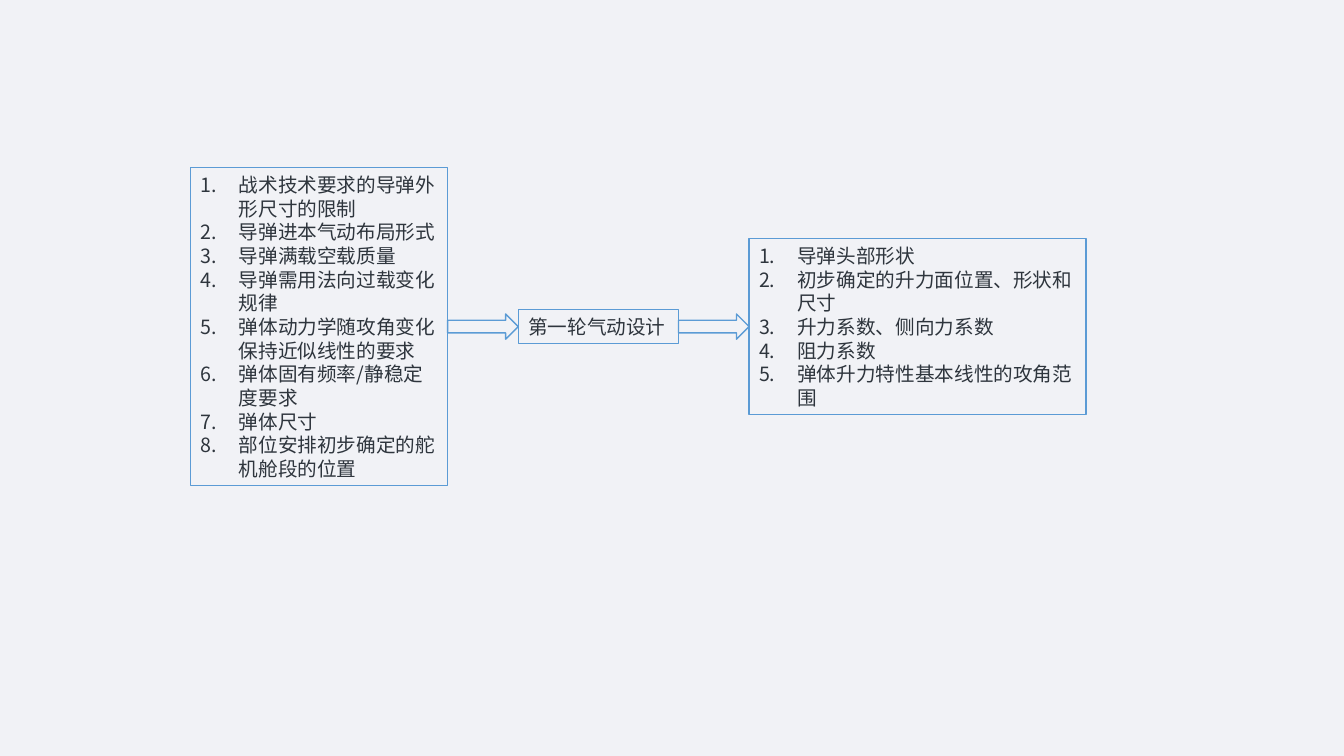
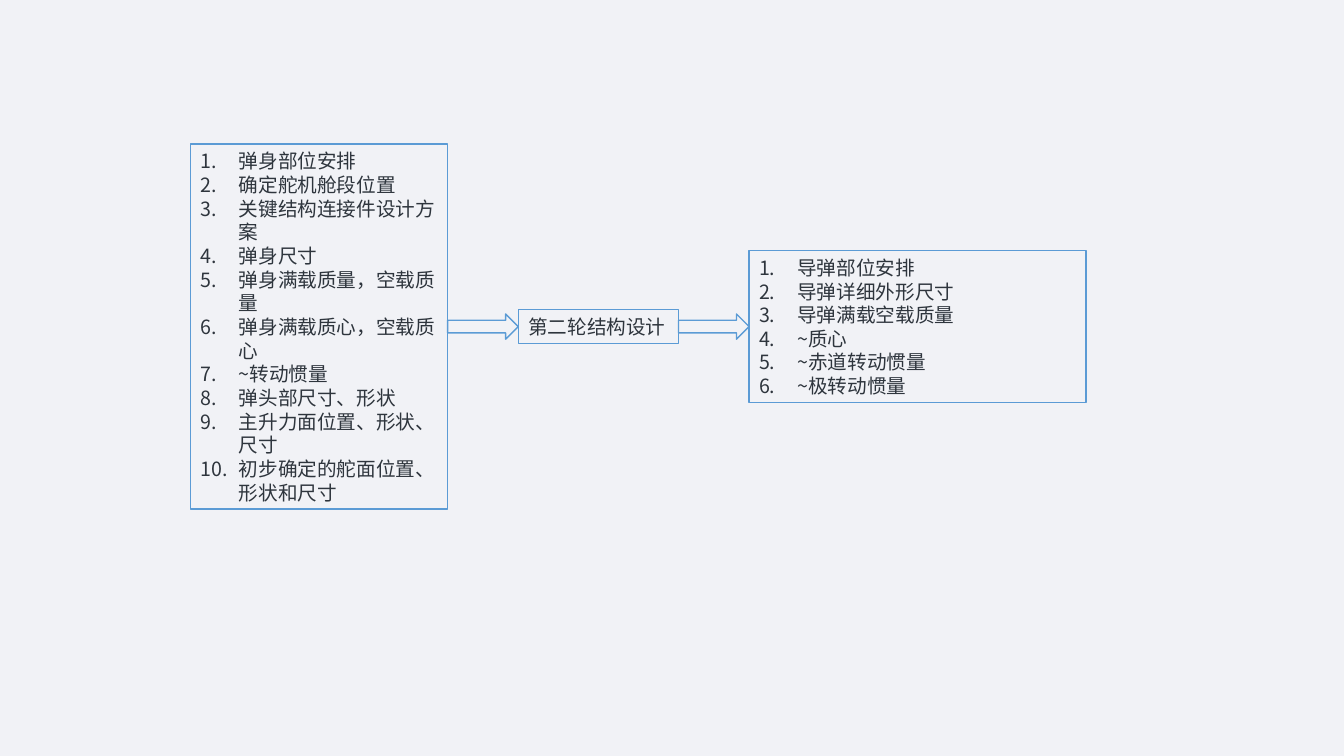
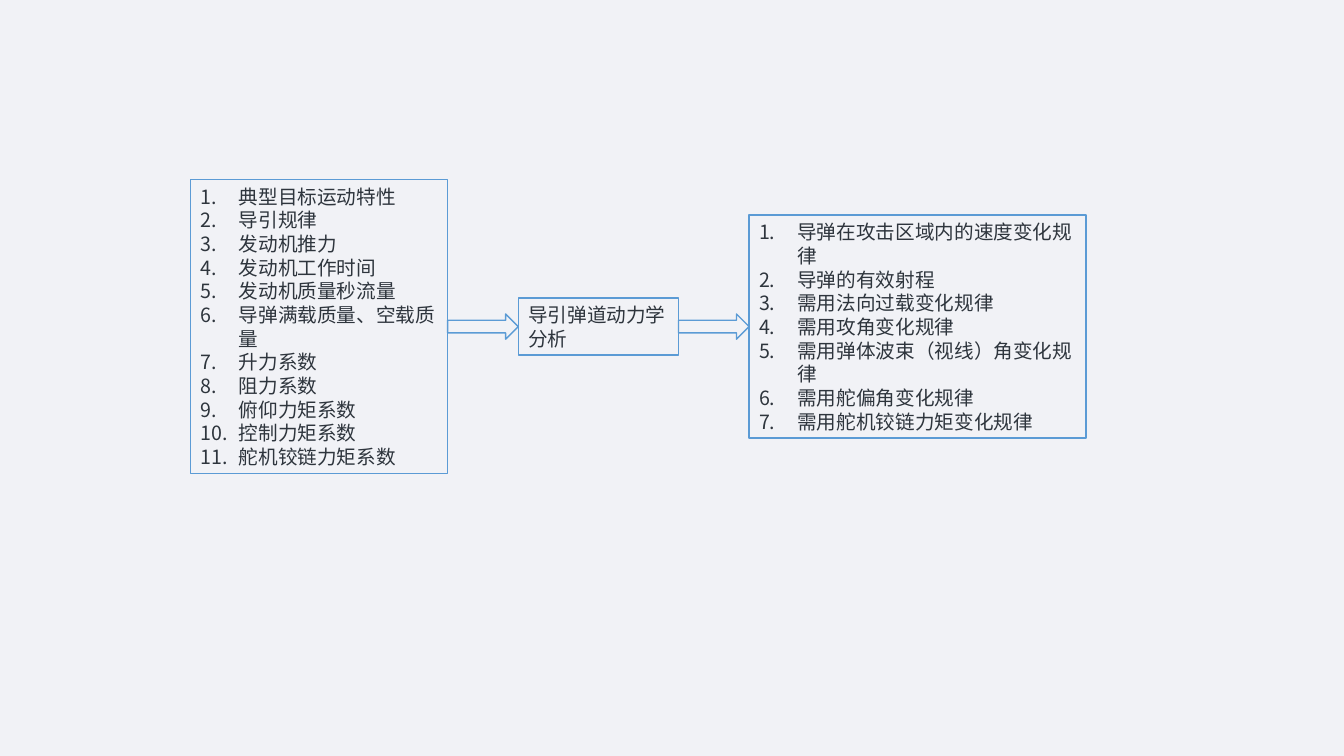
from lxml.etree import SubElement
from pptx import Presentation
from pptx.dml.color import RGBColor
from pptx.enum.shapes import MSO_SHAPE as Shape
from pptx.enum.text import MSO_ANCHOR as Anchor, PP_ALIGN as Align
from pptx.oxml.ns import qn
from pptx.util import Inches, Pt

FONT = "Noto Sans CJK SC"
PAPER, OUTLINE, INK = "F1F2F6", "5B9BD5", "2E353D"
LINE_POINTS = 16.9
INDENT = Inches(0.38)

# Every row of boxes is centred on one axis; arrows fill the gaps between columns.
AXIS = 3.24
LEFT_MARGIN, ARROW_WIDTH, ARROW_HEIGHT = 1.89, 0.7, 0.25
COLUMN_WIDTHS = (2.55, 1.59, 3.34)

# Each box: (number of text lines after wrapping, paragraphs)
STAGES = [
    (
        (13, ["战术技术要求的导弹外形尺寸的限制", "导弹进本气动布局形式",
              "导弹满载空载质量", "导弹需用法向过载变化规律",
              "弹体动力学随攻角变化保持近似线性的要求",
              "弹体固有频率/静稳定度要求", "弹体尺寸",
              "部位安排初步确定的舵机舱段的位置"]),
        (1, ["第一轮气动设计"]),
        (7, ["导弹头部形状", "初步确定的升力面位置、形状和尺寸",
             "升力系数、侧向力系数", "阻力系数",
             "弹体升力特性基本线性的攻角范围"]),
    ),
    (
        (15, ["弹身部位安排", "确定舵机舱段位置", "关键结构连接件设计方案",
              "弹身尺寸", "弹身满载质量，空载质量", "弹身满载质心，空载质心",
              "~转动惯量", "弹头部尺寸、形状", "主升力面位置、形状、尺寸",
              "初步确定的舵面位置、形状和尺寸"]),
        (1, ["第二轮结构设计"]),
        (6, ["导弹部位安排", "导弹详细外形尺寸", "导弹满载空载质量",
             "~质心", "~赤道转动惯量", "~极转动惯量"]),
    ),
    (
        (12, ["典型目标运动特性", "导引规律", "发动机推力", "发动机工作时间",
              "发动机质量秒流量", "导弹满载质量、空载质量", "升力系数",
              "阻力系数", "俯仰力矩系数", "控制力矩系数", "舵机铰链力矩系数"]),
        (2, ["导引弹道动力学分析"]),
        (9, ["导弹在攻击区域内的速度变化规律", "导弹的有效射程",
             "需用法向过载变化规律", "需用攻角变化规律",
             "需用弹体波束（视线）角变化规律", "需用舵偏角变化规律",
             "需用舵机铰链力矩变化规律"]),
    ),
]


def color(value):
    """Turn a hex string into a colour."""
    return RGBColor.from_string(value)


def add_outlined(slide, kind, left, width, height):
    """Add an outlined shape centred on the axis."""
    shape = slide.shapes.add_shape(kind, Inches(left), Inches(AXIS - height / 2),
                                   Inches(width), Inches(height))
    shape.shadow.inherit = False
    shape.fill.solid()
    shape.fill.fore_color.rgb = color(PAPER)
    shape.line.color.rgb = color(OUTLINE)
    shape.line.width = Pt(1)
    return shape


presentation = Presentation()
presentation.slide_width = Inches(13.33)
presentation.slide_height = Inches(7.5)
background = presentation.slide_master.background.fill
background.solid()
background.fore_color.rgb = color(PAPER)

for stage in STAGES:
    slide = presentation.slides.add_slide(presentation.slide_layouts[6])
    left = LEFT_MARGIN
    for column, (width, (line_count, texts)) in enumerate(zip(COLUMN_WIDTHS, stage)):
        if column > 0:
            add_outlined(slide, Shape.RIGHT_ARROW, left, ARROW_WIDTH, ARROW_HEIGHT)
            left += ARROW_WIDTH
        height = 0.1 + line_count * LINE_POINTS / 72
        box = add_outlined(slide, Shape.RECTANGLE, left, width, height)
        left += width

        frame = box.text_frame
        frame.word_wrap = True
        frame.vertical_anchor = Anchor.MIDDLE
        frame.text = "\n".join(texts)
        for paragraph in frame.paragraphs:
            paragraph.alignment = Align.LEFT
            paragraph.line_spacing = Pt(LINE_POINTS)
            properties = paragraph._p.get_or_add_pPr()
            if len(texts) > 1:
                properties.set("marL", str(INDENT))
                properties.set("indent", str(-INDENT))
                SubElement(properties, qn("a:buFont"), typeface="+mj-lt")
                SubElement(properties, qn("a:buAutoNum"), type="arabicPeriod")
            paragraph.font.size = Pt(14)
            paragraph.font.color.rgb = color(INK)
            paragraph.font.name = FONT
            SubElement(properties.find(qn("a:defRPr")), qn("a:ea"), typeface=FONT)

presentation.save("out.pptx")
